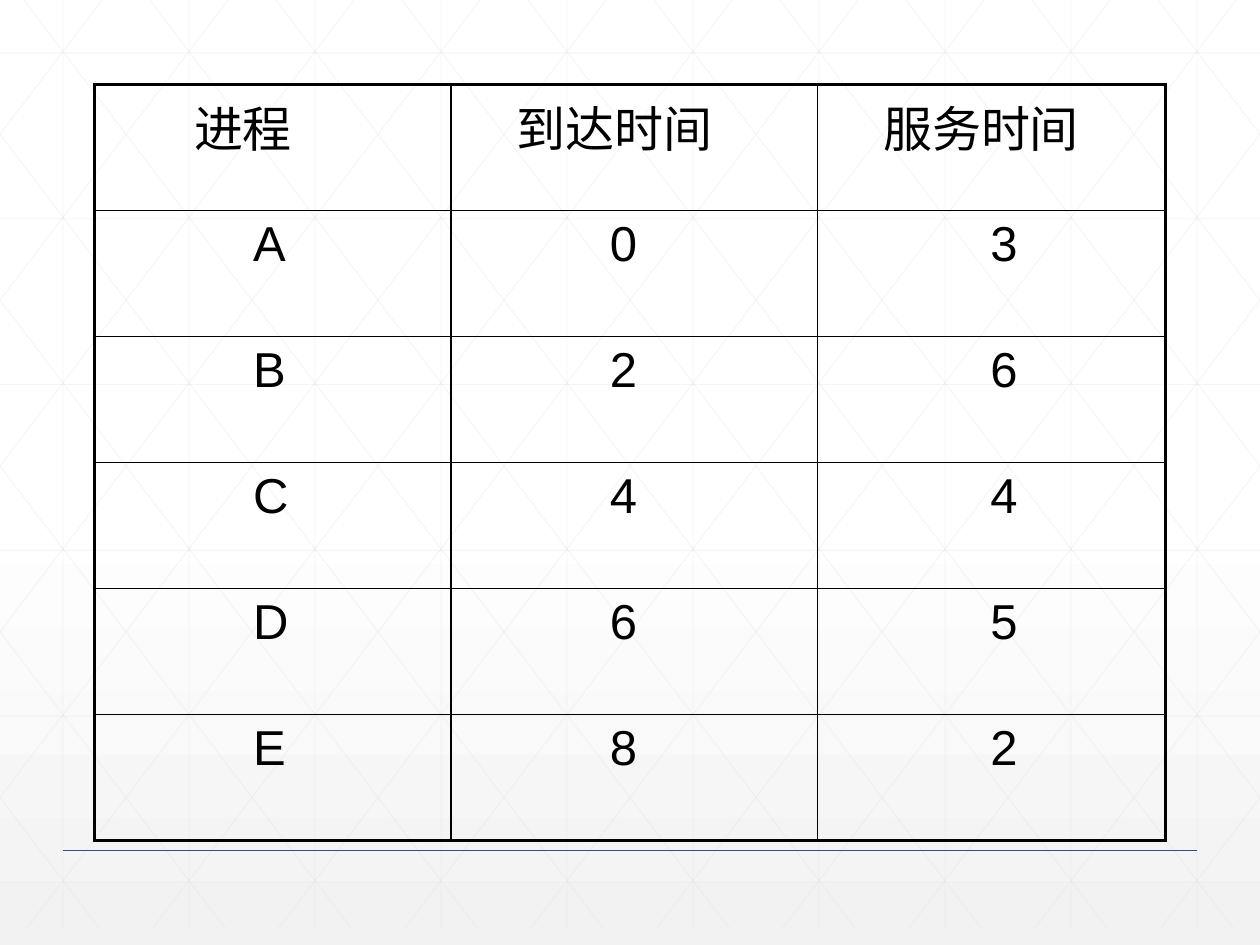
from dataclasses import dataclass

from lxml.etree import SubElement
from pptx import Presentation
from pptx.dml.color import RGBColor
from pptx.enum.shapes import MSO_CONNECTOR
from pptx.oxml.ns import qn
from pptx.util import Inches, Pt


@dataclass(frozen=True)
class Theme:
    font: str = "Arial"
    size: int = 28
    text: str = "000000"
    border: str = "000000"
    grid: str = "D9D9D9"
    rule: str = "384C81"
    bg_top: str = "FFFFFF"
    bg_bottom: str = "F2F2F2"
    inner: float = 1
    outer: float = 2.25
    grid_width: float = 0.5
    grid_alpha: int = 25


THEME = Theme()
WIDTH, GRID_HEIGHT = 10, 7.37
DIAGONAL_RUN = 5.6
COLUMNS = (2.83, 2.91, 2.76)
HEADER_INDENTS = (0.69, 0.42, 0.42)
BODY_INDENTS = (1.16, 1.16, 1.27)
ROWS = (
    ("进程", "到达时间", "服务时间"),
    ("A", "0", "3"),
    ("B", "2", "6"),
    ("C", "4", "4"),
    ("D", "6", "5"),
    ("E", "8", "2"),
)


def set_attributes(target, values):
    for name, value in values.items():
        setattr(target, name, value)


def set_background(s):
    fill = s.background.fill
    fill.gradient()
    fill.gradient_angle = 270
    stops = ((0.53, THEME.bg_top), (1, THEME.bg_bottom))
    for stop, (position, color) in zip(fill.gradient_stops, stops):
        stop.position = position
        stop.color.rgb = RGBColor.from_string(color)


def add_line(shapes, start, end, color, width, alpha=None):
    points = [Inches(v) for v in (*start, *end)]
    sp = shapes.add_connector(MSO_CONNECTOR.STRAIGHT, *points)
    sp.line.color.rgb = RGBColor.from_string(color)
    sp.line.width = Pt(width)
    props = sp._element.spPr
    SubElement(props, qn("a:effectLst"))
    if alpha is not None:
        rgb = props.find(".//" + qn("a:srgbClr"))
        SubElement(rgb, qn("a:alpha"), val=str(alpha * 1000))


def diagonal(x):
    slope = GRID_HEIGHT / DIAGONAL_RUN
    left, right = max(x, 0), min(x + DIAGONAL_RUN, WIDTH)
    return (left, (left - x) * slope), (right, (right - x) * slope)


def mirror(point):
    return WIDTH - point[0], point[1]


def add_grid(s):
    lines = [((0.5 + i, 0), (0.5 + i, GRID_HEIGHT)) for i in range(10)]
    lines += [((0, 0.42 + 1.316 * i), (WIDTH, 0.42 + 1.316 * i)) for i in range(6)]
    falling = [diagonal(0.19 + i) for i in range(-5, 10)]
    lines += falling
    lines += [(mirror(start), mirror(end)) for start, end in falling]
    group = s.shapes.add_group_shape()
    for start, end in lines:
        add_line(group.shapes, start, end, THEME.grid, THEME.grid_width, THEME.grid_alpha)


def set_borders(cell, widths):
    props = cell._tc.get_or_add_tcPr()
    for i, (side, width) in enumerate(widths.items()):
        ln = props.makeelement(qn("a:ln" + side), {"w": str(Pt(width))})
        fill = SubElement(ln, qn("a:solidFill"))
        SubElement(fill, qn("a:srgbClr"), val=THEME.border)
        props.insert(i, ln)


def write_cell(cell, text, indent):
    cell.fill.background()
    cell.margin_left = Inches(0.1 + indent)
    r = cell.text_frame.paragraphs[0].add_run()
    r.text = text
    set_attributes(r.font, {"name": THEME.font, "size": Pt(THEME.size), "bold": False})
    r.font.color.rgb = RGBColor.from_string(THEME.text)


def add_process_table(s):
    last_row, last_col = len(ROWS) - 1, len(COLUMNS) - 1
    box = [Inches(v) for v in (0.75, 0.67, sum(COLUMNS), len(ROWS))]
    table = s.shapes.add_table(len(ROWS), len(COLUMNS), *box).table
    set_attributes(table, {"first_row": False, "horz_banding": False})
    for column, width in zip(table.columns, COLUMNS):
        column.width = Inches(width)
    for row, values in enumerate(ROWS):
        table.rows[row].height = Inches(1)
        indents = BODY_INDENTS if row else HEADER_INDENTS
        for col, text in enumerate(values):
            cell = table.cell(row, col)
            write_cell(cell, text, indents[col])
            edges = {"L": col == 0, "R": col == last_col, "T": row == 0, "B": row == last_row}
            set_borders(cell, {k: THEME.outer if v else THEME.inner for k, v in edges.items()})


def main():
    prs = Presentation()
    set_attributes(prs, {"slide_width": Inches(WIDTH), "slide_height": Inches(7.5)})
    s = prs.slides.add_slide(prs.slide_layouts[6])
    set_background(s)
    add_grid(s)
    add_line(s.shapes, (0.5, 6.75), (9.5, 6.75), THEME.rule, 1)
    add_process_table(s)
    prs.save("out.pptx")


if __name__ == "__main__":
    main()
